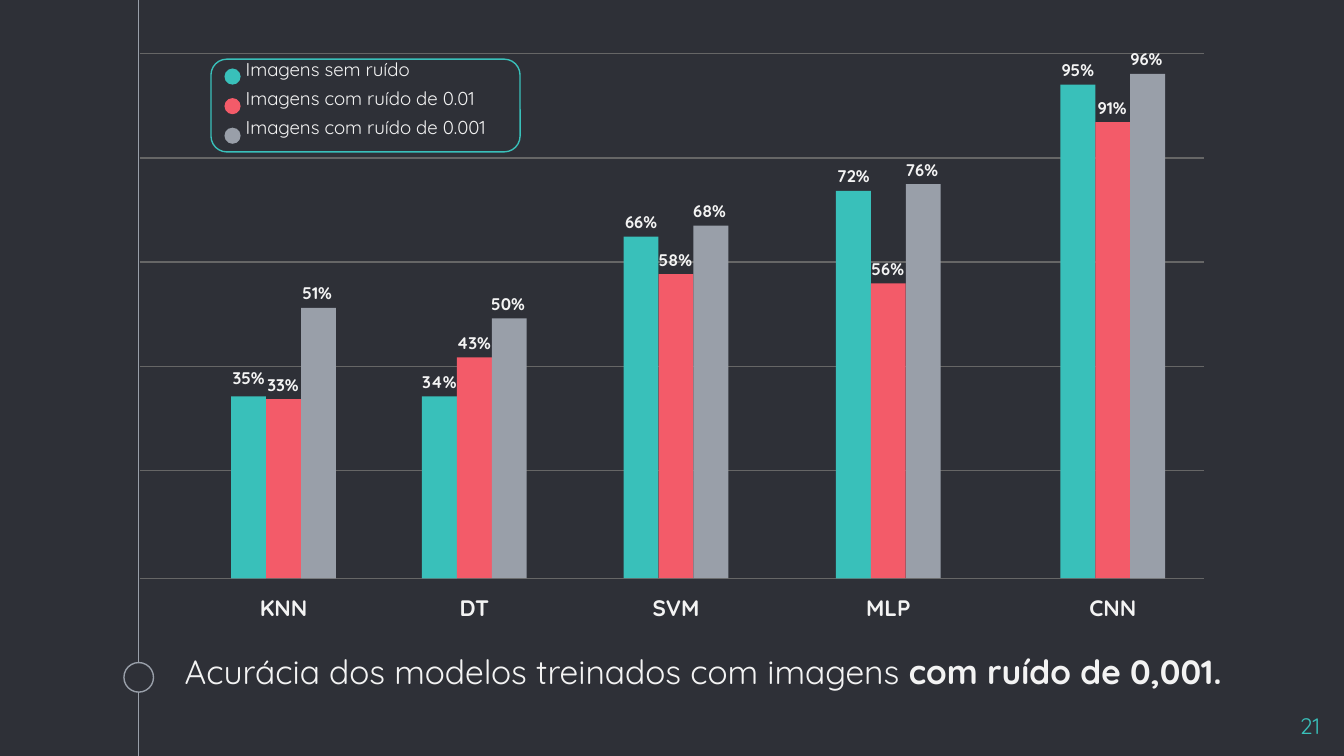
"""Bar slide of model accuracy, laid out on a grid of 100 columns, each cell a tenth of an inch."""
from dataclasses import dataclass
from typing import NamedTuple

from lxml import etree
from pptx import Presentation
from pptx import util as u
from pptx.dml.color import RGBColor
from pptx.enum import shapes, text
from pptx.oxml.ns import qn


@dataclass(frozen=True)
class Theme:
    font: str = "Quicksand"
    back: str = "2E3037"
    ink: str = "F3F3F3"
    rule: str = "666666"
    teal: str = "39C0BA"
    red: str = "F35B69"
    gray: str = "999FA9"
    title: float = 18
    body: float = 12
    key: float = 10
    small: float = 9
    space: float = 3.6
    line: float = 0.75


class Box(NamedTuple):
    col: float
    row: float
    wide: float
    high: float


class Bar(NamedTuple):
    tag: str
    top: float
    lift: float = 2.6


class Group(NamedTuple):
    name: str
    col: float
    bars: tuple[Bar, Bar, Bar]


class Run(NamedTuple):
    words: str
    bold: bool = False


class Key(NamedTuple):
    name: str
    tint: str


T = Theme()
COLS, ROWS = 100, 56.25
BASE, BAR, STEP = 43.03, 2.6, 2.55
AXIS, LEFT, RIGHT = 10.33, 10.4, 89.6
LEVELS = [4 + 7.75 * n for n in range(5)] + [BASE]
KEYS = (
    Key("Imagens sem ruído", T.teal),
    Key("Imagens com ruído de 0.01", T.red),
    Key("Imagens com ruído de 0.001", T.gray),
)
GROUPS = (
    Group("KNN", 17.2, (Bar("35%", 29.5, 2.9), Bar("33%", 29.7), Bar("51%", 22.9))),
    Group("DT", 31.4, (Bar("34%", 29.5), Bar("43%", 26.6), Bar("50%", 23.7))),
    Group("SVM", 46.4, (Bar("66%", 17.6), Bar("58%", 20.4), Bar("68%", 16.8))),
    Group("MLP", 62.2, (Bar("72%", 14.2), Bar("56%", 21.1), Bar("76%", 13.7))),
    Group("CNN", 78.9, (Bar("95%", 6.3), Bar("91%", 9.1), Bar("96%", 5.5))),
)


def cell(n: float) -> u.Emu:
    """Turn a count of grid cells into a length."""
    return u.Inches(n / 10)


def rgb(tint: str) -> RGBColor:
    """Turn a hex string into a colour."""
    return RGBColor.from_string(tint)


def draw_line(slide, start: tuple[float, float], end: tuple[float, float], tint: str) -> None:
    """Draw a straight line between two grid points."""
    ends = [cell(n) for n in (*start, *end)]
    line = slide.shapes.add_connector(shapes.MSO_CONNECTOR.STRAIGHT, *ends)
    line.line.color.rgb = rgb(tint)
    line.line.width = u.Pt(T.line)
    etree.SubElement(line._element.spPr, qn("a:effectLst"))


def draw_shape(slide, kind: shapes.MSO_SHAPE, box: Box, fill: str, edge: str = ""):
    """Draw a filled shape, with an outline if an edge colour is given."""
    shape = slide.shapes.add_shape(kind, *map(cell, box))
    shape.shadow.inherit = False
    shape.fill.solid()
    shape.fill.fore_color.rgb = rgb(fill)
    if edge:
        shape.line.color.rgb = rgb(edge)
        shape.line.width = u.Pt(T.line)
    else:
        shape.line.fill.background()
    return shape


def draw_text(slide, box: Box, paras: list[list[Run]], size: float,
              align: text.PP_ALIGN = text.PP_ALIGN.LEFT,
              space: float = 0, tint: str = T.ink) -> None:
    """Write paragraphs run by run into a wrapped text box."""
    frame = slide.shapes.add_textbox(*map(cell, box)).text_frame
    frame.word_wrap = True
    frame.margin_left = frame.margin_right = cell(1)
    frame.margin_top = frame.margin_bottom = cell(1)
    for n, runs in enumerate(paras):
        para = frame.add_paragraph() if n else frame.paragraphs[0]
        para.alignment = align
        para.space_before = u.Pt(space)
        for words, bold in runs:
            run = para.add_run()
            run.text = words
            run.font.name = T.font
            run.font.size = u.Pt(size)
            run.font.bold = bold
            run.font.color.rgb = rgb(tint)


def draw_group(slide, group: Group) -> None:
    """Draw the three bars of a model with their values and its name."""
    mid = text.PP_ALIGN.CENTER
    for n, (bar, key) in enumerate(zip(group.bars, KEYS)):
        box = Box(group.col + n * BAR, bar.top, BAR, BASE - bar.top)
        draw_shape(slide, shapes.MSO_SHAPE.RECTANGLE, box, key.tint)
    for n, bar in enumerate(group.bars):
        box = Box(group.col - 1.7 + n * STEP, bar.top - bar.lift, 6, 3.5)
        draw_text(slide, box, [[Run(bar.tag, True)]], T.small, mid)
    draw_text(slide, Box(group.col, 43.2, 3 * BAR, 4), [[Run(group.name, True)]],
              T.body, mid, T.space)


def draw_key(slide) -> None:
    """Draw the framed key of the three series."""
    frame = draw_shape(slide, shapes.MSO_SHAPE.ROUNDED_RECTANGLE,
                       Box(15.7, 4.4, 23, 6.9), T.back, T.teal)
    frame.adjustments[0] = 0.17
    draw_text(slide, Box(17.3, 3.3, 21.6, 6.4), [[Run(key.name)] for key in KEYS],
              T.key, space=T.space)
    for n, key in enumerate(KEYS):
        draw_shape(slide, shapes.MSO_SHAPE.OVAL, Box(16.7, 5.1 + 2.2 * n, 1.2, 1.2), key.tint)


def main() -> None:
    """Build the slide and save it."""
    deck = Presentation()
    deck.slide_width, deck.slide_height = cell(COLS), cell(ROWS)
    slide = deck.slides.add_slide(deck.slide_layouts[6])
    slide.background.fill.solid()
    slide.background.fill.fore_color.rgb = rgb(T.back)

    draw_line(slide, (AXIS, 0), (AXIS, ROWS), T.gray)
    draw_shape(slide, shapes.MSO_SHAPE.OVAL, Box(9.22, 49.3, 2.2, 2.2), T.back, T.gray)
    for row in LEVELS:
        draw_line(slide, (LEFT, row), (RIGHT, row), T.rule)
    for group in GROUPS:
        draw_group(slide, group)
    draw_key(slide)
    draw_text(slide, Box(12.75, 47.4, 82.3, 4.7),
              [[Run("Acurácia dos modelos treinados com imagens "),
                Run("com ruído de 0,001.", True)]], T.title, space=T.space)
    draw_text(slide, Box(93.2, 52, 6, 3.4), [[Run("21")]], T.body,
              text.PP_ALIGN.RIGHT, tint=T.teal)
    deck.save("out.pptx")


if __name__ == "__main__":
    main()
